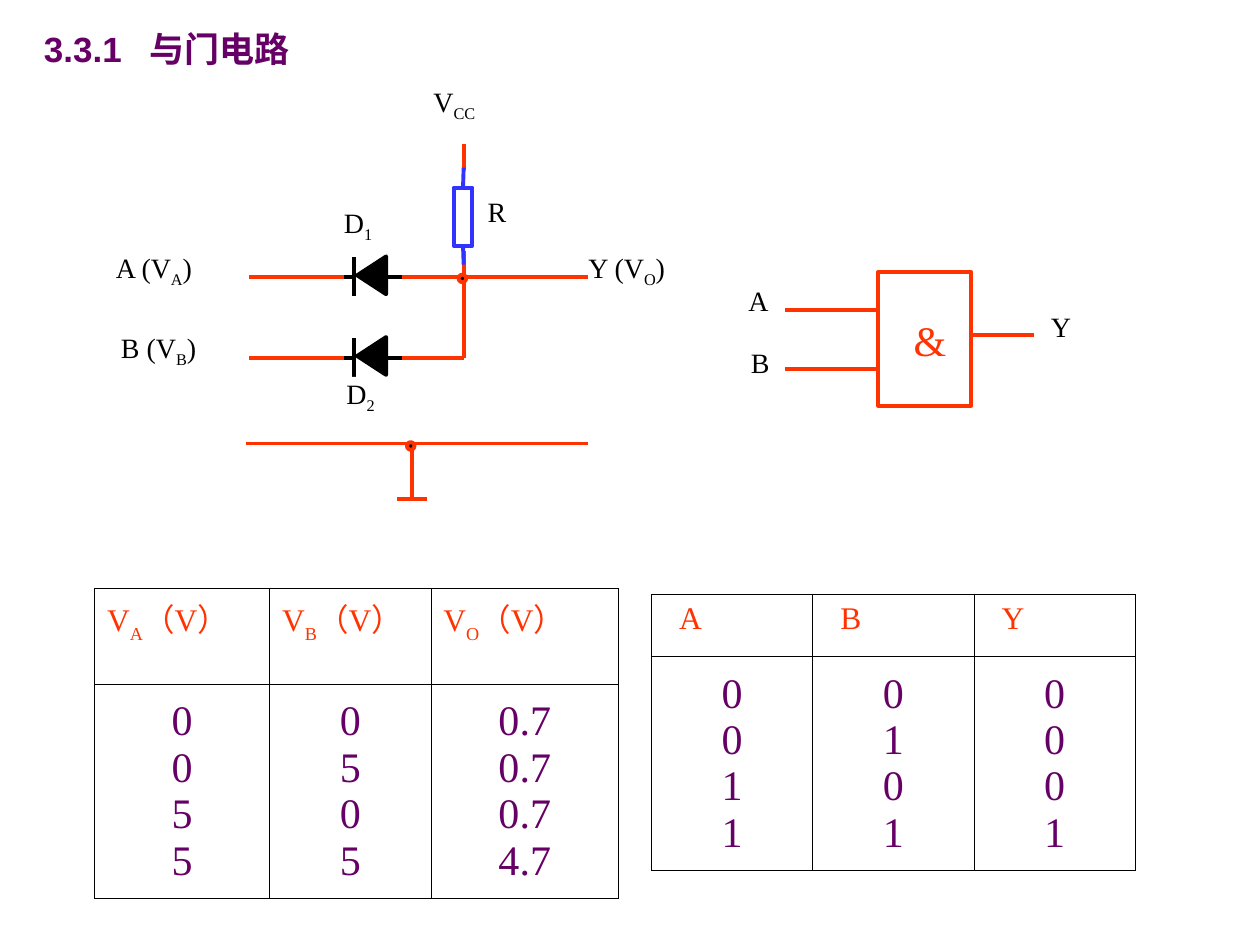
from typing import NamedTuple
from lxml import etree
from pptx import Presentation
from pptx.dml.color import RGBColor
from pptx.enum.shapes import MSO_CONNECTOR, MSO_SHAPE
from pptx.enum.text import MSO_ANCHOR, PP_ALIGN
from pptx.oxml.ns import qn
from pptx.util import Inches, Pt

RECT, DOT, TRI = MSO_SHAPE.RECTANGLE, MSO_SHAPE.OVAL, MSO_SHAPE.ISOSCELES_TRIANGLE
LINE = MSO_CONNECTOR.STRAIGHT
LEFT, MID = PP_ALIGN.LEFT, PP_ALIGN.CENTER
TOP, CENTER = MSO_ANCHOR.TOP, MSO_ANCHOR.MIDDLE
RED, BLUE, BLACK, WHITE, PLUM = "FF3300", "3333FF", "000000", "FFFFFF", "660066"
SERIF, SANS = "Times New Roman", "Arial"


class Wire(NamedTuple):
    x1: float
    y1: float
    x2: float
    y2: float
    hue: str = RED


class Label(NamedTuple):
    x: float
    y: float
    w: float
    text: str
    sub: str = ""
    tail: str = ""
    h: float = 0.42
    size: int = 16
    hue: str = BLACK


class Grid(NamedTuple):
    x: float
    y: float
    cols: list
    rows: list
    heads: list
    data: list
    pad: float


WIRES = [
    Wire(1.98, 2.2, 2.73, 2.2), Wire(1.98, 2.84, 2.73, 2.84),
    Wire(3.19, 2.2, 4.67, 2.2), Wire(3.19, 2.84, 3.68, 2.84),
    Wire(3.68, 2.84, 3.68, 1.99), Wire(3.68, 1.35, 3.68, 1.14),
    Wire(1.95, 3.52, 4.67, 3.52), Wire(3.27, 3.53, 3.27, 3.96),
    Wire(3.15, 3.96, 3.39, 3.96),
]
PINS = [Wire(6.23, 2.46, 6.97, 2.46), Wire(6.23, 2.93, 6.97, 2.93),
        Wire(7.72, 2.66, 8.21, 2.66)]
LABELS = [
    Label(3.44, 0.67, 0.49, "V", "CC"), Label(3.87, 1.54, 0.5, "R"),
    Label(2.73, 1.63, 0.5, "D", "1"), Label(2.75, 2.99, 0.5, "D", "2"),
    Label(0.92, 1.99, 0.99, "A (V", "A", ")"),
    Label(0.96, 2.62, 0.99, "B (V", "B", ")"),
    Label(4.67, 1.99, 0.99, "Y (V", "O", ")"),
    Label(5.94, 2.25, 0.25, "A"), Label(5.96, 2.74, 0.25, "B"),
    Label(8.34, 2.46, 0.25, "Y"),
    Label(7.25, 2.5, 0.25, "&", h=0.64, size=24, hue=RED),
]
GRIDS = [
    Grid(0.75, 4.67, [1.39, 1.28, 1.49], [0.76, 1.7],
         [("V", s, "（V）") for s in "ABO"],
         [["0", "0", "5", "5"], ["0", "5", "0", "5"], ["0.7", "0.7", "0.7", "4.7"]], 0.1),
    Grid(5.17, 4.72, [1.28] * 3, [0.49, 1.7],
         [(s, "", "") for s in "ABY"], ["0011", "0101", "0001"], 0.22),
]


def color(code: str) -> RGBColor:
    """Turn a hex string into a colour."""
    return RGBColor.from_string(code)


def add_run(para, text: str, size: int, hue: str, face: str = SERIF, base: int = 0) -> None:
    """Append one styled run, lowered when base is negative."""
    run = para.add_run()
    run.text = text
    run.font.size, run.font.name = Pt(size), face
    run.font.color.rgb = color(hue)
    if base:
        run._r.get_or_add_rPr().set("baseline", str(base * 1000))


def add_term(para, parts: tuple, size: int, hue: str, base: int) -> None:
    """Write a stem, its subscript and its tail."""
    for text, drop in zip(parts, (0, base, 0)):
        if text:
            add_run(para, text, size, hue, base=drop)


def add_wire(slide, wire: Wire):
    """Draw one straight wire."""
    link = slide.shapes.add_connector(LINE, *map(Inches, wire[:4]))
    link.line.color.rgb, link.line.width = color(wire.hue), Pt(2.25)
    etree.SubElement(link._element.spPr, qn("a:effectLst"))
    return link


def add_block(slide, kind, box: tuple, fill: str, edge: str = ""):
    """Draw a filled preset shape with an optional outline."""
    shape = slide.shapes.add_shape(kind, *map(Inches, box))
    shape.shadow.inherit = False
    shape.fill.solid()
    shape.fill.fore_color.rgb = color(fill)
    if edge:
        shape.line.color.rgb, shape.line.width = color(edge), Pt(2.25)
    else:
        shape.line.fill.background()
    return shape


def add_diode(slide, y: float) -> None:
    """Draw a diode that points left on the wire at height y."""
    add_block(slide, TRI, (2.8, y - 0.13, 0.3, 0.23), BLACK, BLACK).rotation = 270
    for ends in ((3.05, y, 3.19, y), (2.81, y, 2.73, y), (2.81, y + 0.15, 2.81, y - 0.16)):
        add_wire(slide, Wire(*ends, BLACK))


def add_load(slide) -> None:
    """Draw the resistor with its two leads."""
    body = add_block(slide, RECT, (3.6, 1.49, 0.15, 0.46), WHITE, BLUE)
    for side, start, end in ((2, 1.95, 2.1), (0, 1.49, 1.33)):
        add_wire(slide, Wire(3.68, start, 3.68, end, BLUE)).begin_connect(body, side)


def add_label(slide, label: Label) -> None:
    """Write a label on a white plate."""
    plate = add_block(slide, RECT, (label.x, label.y, label.w, label.h), WHITE)
    frame = plate.text_frame
    frame.margin_left = frame.margin_right = frame.margin_top = frame.margin_bottom = 0
    frame.vertical_anchor, frame.word_wrap = TOP, True
    para = frame.paragraphs[0]
    para.alignment = LEFT
    add_term(para, (label.text, label.sub, label.tail), label.size, label.hue, -25)


def add_edges(cell) -> None:
    """Give a cell thin black borders."""
    props = cell._tc.get_or_add_tcPr()
    for spot, tag in enumerate(("a:lnL", "a:lnR", "a:lnT", "a:lnB")):
        edge = etree.Element(qn(tag), w=str(Pt(0.45)))
        fill = etree.SubElement(edge, qn("a:solidFill"))
        etree.SubElement(fill, qn("a:srgbClr"), val=BLACK)
        props.insert(spot, edge)


def add_grid(slide, grid: Grid) -> None:
    """Draw a table with a heading row and one tall row of values."""
    size = (grid.x, grid.y, sum(grid.cols), sum(grid.rows))
    table = slide.shapes.add_table(2, len(grid.cols), *map(Inches, size)).table
    table.first_row = table.horz_banding = False
    for row, high in zip(table.rows, grid.rows):
        row.height = Inches(high)
    for col, wide in enumerate(grid.cols):
        table.columns[col].width = Inches(wide)
        head, body = table.cell(0, col), table.cell(1, col)
        for cell in (head, body):
            cell.fill.background()
            add_edges(cell)
        head.margin_left = Inches(grid.pad)
        add_term(head.text_frame.paragraphs[0], grid.heads[col], 18, RED, -30)
        body.vertical_anchor = CENTER
        frame = body.text_frame
        for row, value in enumerate(grid.data[col]):
            para = frame.add_paragraph() if row else frame.paragraphs[0]
            para.alignment = MID
            add_run(para, value, 24, PLUM)


def add_title(slide) -> None:
    """Write the section number and name, parted by a tab."""
    frame = slide.shapes.add_textbox(*map(Inches, (0.25, 0.17, 2.42, 0.44))).text_frame
    frame.word_wrap = True
    para = frame.paragraphs[0]
    stops = etree.SubElement(para._p.get_or_add_pPr(), qn("a:tabLst"))
    etree.SubElement(stops, qn("a:tab"), pos=str(Inches(0.84)), algn="l")
    para.font.bold = True
    for text in ("3.3.1", "\t", "与门电路"):
        add_run(para, text, 20, PLUM, SANS)
    for run in para.runs:
        run.font.bold = True


def main() -> None:
    """Build the slide and save it."""
    deck = Presentation()
    deck.slide_width, deck.slide_height = Inches(10), Inches(7.5)
    slide = deck.slides.add_slide(deck.slide_layouts[6])
    add_title(slide)
    for wire in WIRES:
        add_wire(slide, wire)
    add_diode(slide, 2.84)
    for x, y in ((3.64, 2.18), (3.23, 3.51)):
        add_block(slide, DOT, (x, y, 0.06, 0.06), BLACK, RED)
    add_load(slide)
    add_block(slide, RECT, (6.97, 2.16, 0.74, 1.06), WHITE, RED)
    for pin in PINS:
        add_wire(slide, pin)
    for label in LABELS:
        add_label(slide, label)
    add_diode(slide, 2.2)
    for grid in GRIDS:
        add_grid(slide, grid)
    deck.save("out.pptx")


if __name__ == "__main__":
    main()
